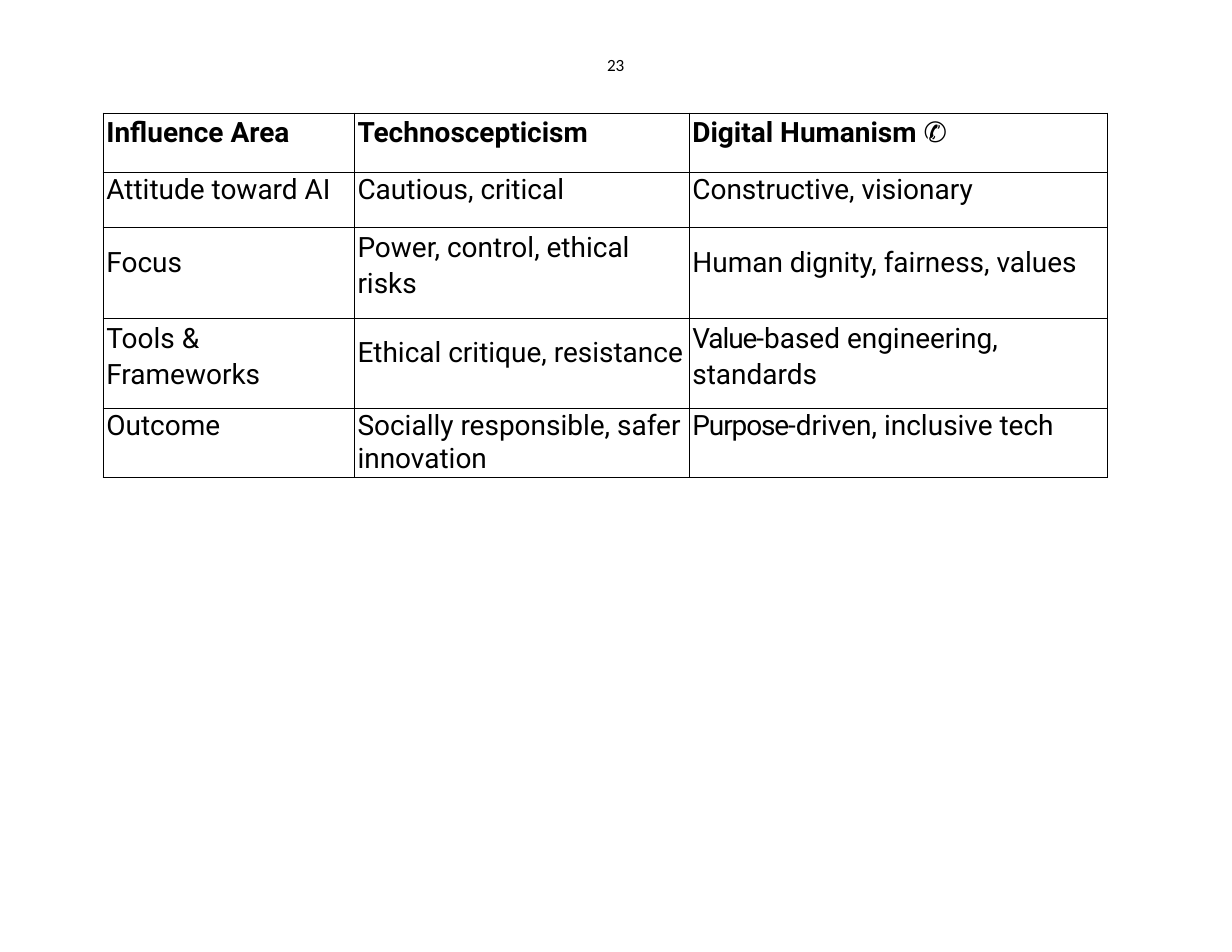
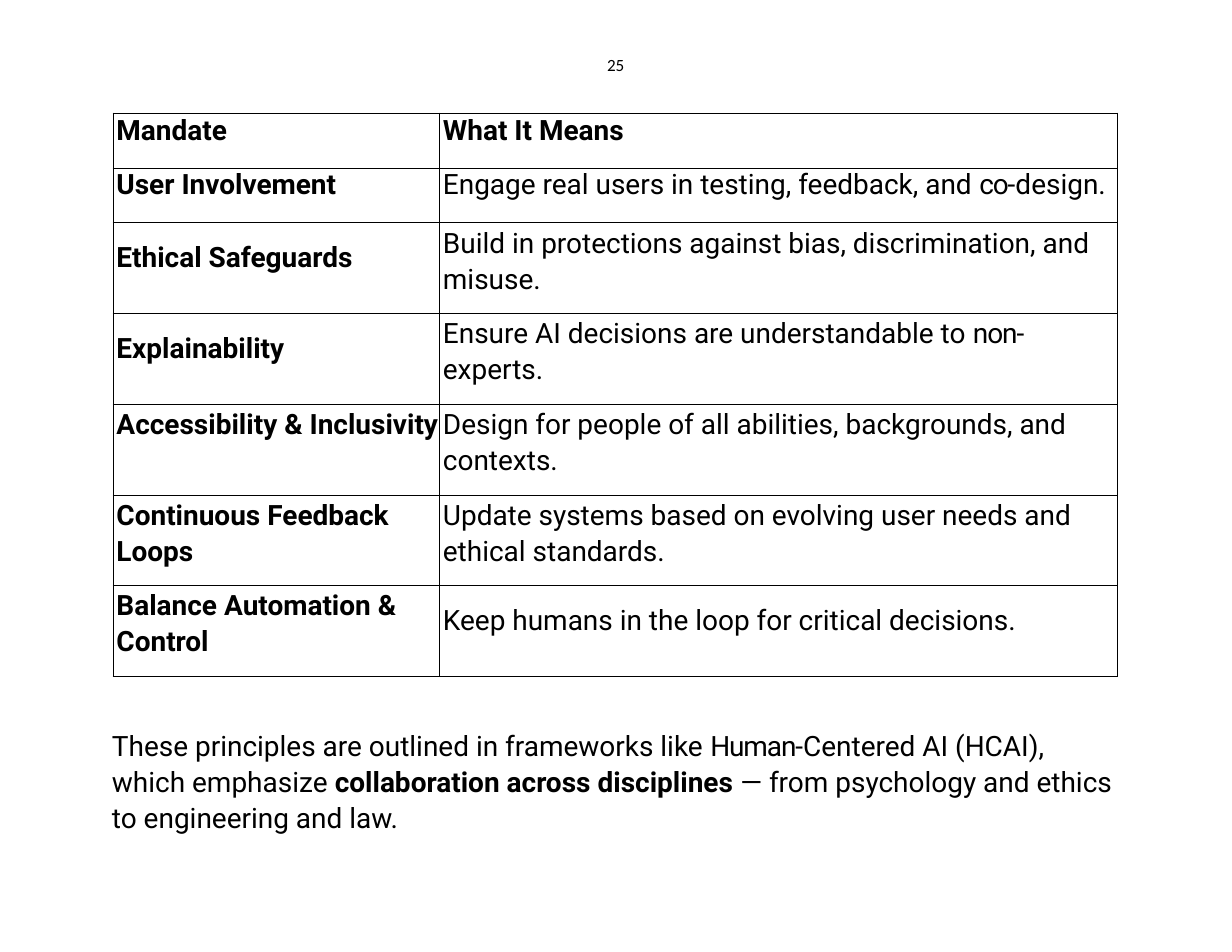
from lxml import etree
from pptx import Presentation
from pptx import util as u
from pptx.dml.color import RGBColor
from pptx.oxml import ns

# Shared style
COLORS = {"ink": "000000"}
FONTS = {"body": "Roboto", "page": "Calibri"}
SLIDE_WIDTH, SLIDE_HEIGHT = 11, 8.5
TABLE_WIDTH, TABLE_TOP = 8.97, 1.01
ROW, TALL_ROW = 0.49, 0.81
SIDE, TOP, CENTERED_TOP = 0.03, 0.01, 0.17
TIGHT = -70  # letter spacing of compound prefixes, hundredths of a point

# Markup: *text* switches the weight, |text| tightens the letters
INFLUENCE = [
    ["Influence Area", "Technoscepticism", "Digital Humanism *✆*"],
    ["Attitude toward AI", "Cautious, critical", "Constructive, visionary"],
    ["Focus", "Power, control, ethical risks", "Human dignity, fairness, values"],
    ["Tools & Frameworks", "Ethical critique, resistance",
     "|Value-|based engineering, standards"],
    ["Outcome", "Socially responsible, safer innovation",
     "|Purpose-|driven, inclusive tech"],
]
MANDATES = [
    ["Mandate", "What It Means"],
    ["User Involvement",
     "Engage real users in testing, feedback, and |co-|design."],
    ["Ethical Safeguards",
     "Build in protections against bias, discrimination, and misuse."],
    ["Explainability",
     "Ensure AI decisions are understandable to |non-|experts."],
    ["Accessibility & Inclusivity",
     "Design for people of all abilities, backgrounds, and contexts."],
    ["Continuous Feedback Loops",
     "Update systems based on evolving user needs and ethical standards."],
    ["Balance Automation & Control",
     "Keep humans in the loop for critical decisions."],
]
PRINCIPLES = (
    "These principles are outlined in frameworks like |Human-|Centered AI (HCAI), "
    "which emphasize *collaboration across disciplines* — from psychology and "
    "ethics to engineering and law.")


def set_margins(target, left, top):
    target.margin_left, target.margin_top = u.Inches(left), u.Inches(top)
    target.margin_right = target.margin_bottom = 0


def write(paragraph, marked_text, size=18, font="body", bold=False):
    """Fill a paragraph from marked text, one run per change of style."""
    for weight, part in enumerate(marked_text.split("*")):
        for tight, piece in enumerate(part.split("|")):
            if not piece:
                continue
            run = paragraph.add_run()
            run.text = piece
            run.font.name = FONTS[font]
            run.font.size = u.Pt(size)
            run.font.bold = bold != bool(weight % 2)
            run.font.color.rgb = RGBColor.from_string(COLORS["ink"])
            if tight % 2:
                run.font._element.set("spc", str(TIGHT))


def add_text(slide, left, top, width, height, marked_text, line_spacing=1.0,
             **style):
    box = slide.shapes.add_textbox(*map(u.Inches, (left, top, width, height)))
    frame = box.text_frame
    frame.word_wrap = True
    set_margins(frame, 0.01, TOP)
    paragraph = frame.paragraphs[0]
    paragraph.line_spacing = line_spacing
    write(paragraph, marked_text, **style)


def add_page_number(slide, number):
    width = 0.18
    add_text(slide, (SLIDE_WIDTH - width) / 2, 0.48, width, 0.21, str(number),
             size=11, font="page")


def outline(cell):
    """Draw thin lines on all four sides of a cell."""
    properties = cell._tc.get_or_add_tcPr()
    for index, side in enumerate(("lnL", "lnR", "lnT", "lnB")):
        line = etree.Element(ns.qn(f"a:{side}"), w=str(u.Pt(0.5)))
        fill = etree.SubElement(line, ns.qn("a:solidFill"))
        etree.SubElement(fill, ns.qn("a:srgbClr"), val=COLORS["ink"])
        properties.insert(index, line)


def add_grid(slide, left, rows, shares, heights, centered, header_top=TOP,
             bold_first_column=False):
    """Add a table; centered lists the one-line cells of tall rows."""
    table = slide.shapes.add_table(
        len(rows), len(shares), u.Inches(left), u.Inches(TABLE_TOP),
        u.Inches(TABLE_WIDTH), u.Inches(sum(heights))).table
    table.first_row = table.horz_banding = False
    for column, share in zip(table.columns, shares):
        column.width = u.Inches(TABLE_WIDTH * share / sum(shares))
    for row_index, (texts, height) in enumerate(zip(rows, heights)):
        table.rows[row_index].height = u.Inches(height)
        for column_index, marked_text in enumerate(texts):
            cell = table.cell(row_index, column_index)
            is_centered = (row_index, column_index) in centered
            is_header = row_index == 0
            top = CENTERED_TOP if is_centered else header_top if is_header else TOP
            set_margins(cell, SIDE, top)
            cell.fill.background()
            outline(cell)
            paragraph = cell.text_frame.paragraphs[0]
            if height >= TALL_ROW and not is_centered:
                paragraph.line_spacing = u.Pt(23.2)
            write(paragraph, marked_text,
                  bold=is_header or (bold_first_column and column_index == 0))


def add_slide(presentation, number):
    slide = presentation.slides.add_slide(presentation.slide_layouts[6])
    add_page_number(slide, number)
    return slide


def main():
    presentation = Presentation()
    presentation.slide_width = u.Inches(SLIDE_WIDTH)
    presentation.slide_height = u.Inches(SLIDE_HEIGHT)

    # Influence areas
    slide = add_slide(presentation, 23)
    add_grid(slide, 0.92, INFLUENCE, shares=(3, 4, 5),
             heights=[0.53, ROW, TALL_ROW, TALL_ROW, 0.61],
             centered={(2, 0), (2, 2), (3, 1)}, header_top=0.03)

    # Design mandates
    slide = add_slide(presentation, 25)
    add_grid(slide, 1.01, MANDATES, shares=(13, 27),
             heights=[ROW] * 2 + [TALL_ROW] * 5,
             centered={(2, 0), (3, 0), (6, 1)}, bold_first_column=True)
    add_text(slide, 0.99, 6.47, TABLE_WIDTH, 1, PRINCIPLES, line_spacing=1.08)

    presentation.save("out.pptx")


if __name__ == "__main__":
    main()
